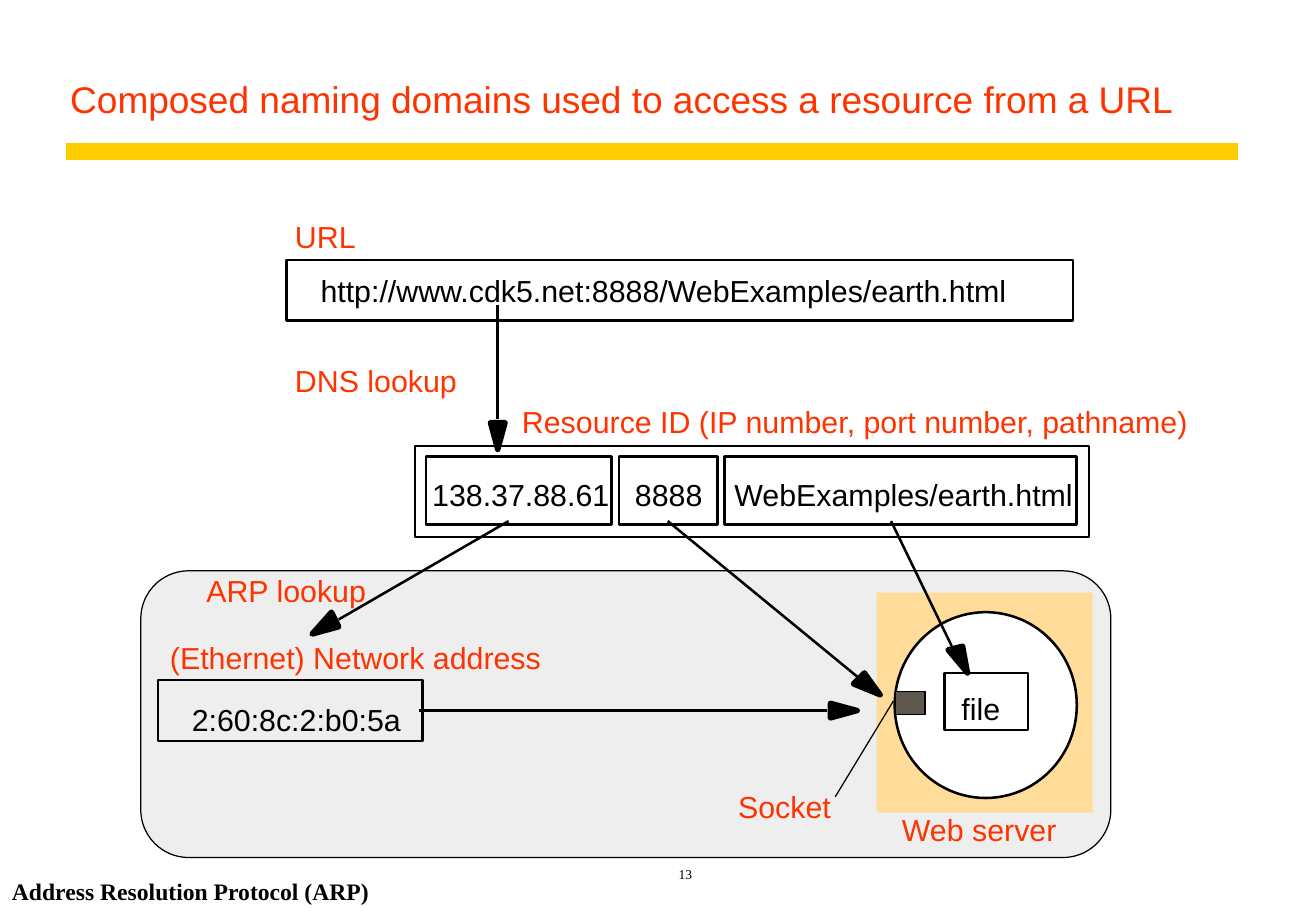
from lxml import etree
from pptx import Presentation
from pptx.dml.color import RGBColor
from pptx.enum import shapes as sh, text as tx
from pptx.oxml import ns
from pptx.util import Inches, Pt

RED = RGBColor(0xFF, 0x33, 0x00)
BLACK = RGBColor(0, 0, 0)
WHITE = RGBColor(0xFF, 0xFF, 0xFF)
GOLD = RGBColor(0xFF, 0xCC, 0x00)
GREY = RGBColor(0xEE, 0xEE, 0xEE)
SAND = RGBColor(0xFF, 0xDC, 0x99)
BROWN = RGBColor(0x5E, 0x57, 0x4E)

KIND = sh.MSO_SHAPE
ANCHOR = tx.MSO_ANCHOR
ALIGN = tx.PP_ALIGN
SLACK = 0.15  # spare label width, so that no label breaks


def style(shape, fill, line, width):
    """Set fill and outline; None leaves either one off."""
    shape.shadow.inherit = False
    for part, color in ((shape.fill, fill), (shape.line.fill, line)):
        if color is None:
            part.background()
        else:
            part.solid()
            part.fore_color.rgb = color
    if line is not None:
        shape.line.width = Pt(width)


def add_box(slide, area, fill=None, line=BLACK, width=1.5, kind=KIND.RECTANGLE):
    box = slide.shapes.add_shape(kind, *map(Inches, area))
    style(box, fill, line, width)
    return box


def add_line(slide, start, end, width=1.5, color=BLACK):
    line = slide.shapes.add_connector(
        sh.MSO_CONNECTOR.STRAIGHT, *map(Inches, start + end))
    line.line.color.rgb = color
    line.line.width = Pt(width)
    etree.SubElement(line._element.spPr, ns.qn("a:effectLst"))


def add_arrow(slide, start, end, head):
    """Draw a shaft and a solid head with rounded corners."""
    add_line(slide, start, end)
    points = [(Inches(x), Inches(y)) for x, y in head]
    path = slide.shapes.build_freeform(*points[0])
    path.add_line_segments(points[1:], close=True)
    tip = path.convert_to_shape()
    style(tip, BLACK, BLACK, 3.25)
    outline = tip._element.spPr.find(ns.qn("a:ln"))
    etree.SubElement(outline, ns.qn("a:round"))


def add_text(slide, words, area, color=BLACK, size=18, font="Arial",
             bold=False, anchor=ANCHOR.TOP, align=ALIGN.LEFT,
             inset=(0, 0)):
    box = slide.shapes.add_textbox(*map(Inches, area))
    frame = box.text_frame
    frame.word_wrap = True
    frame.vertical_anchor = anchor
    frame.margin_left = frame.margin_right = Inches(inset[0])
    frame.margin_top = frame.margin_bottom = Inches(inset[1])
    frame.text = words
    para = frame.paragraphs[0]
    para.alignment = align
    run = para.runs[0]
    run.font.name = font
    run.font.size = Pt(size)
    run.font.bold = bold
    run.font.color.rgb = color
    return para


def add_label(slide, words, left, top, width, color=RED):
    add_text(slide, words, (left, top, width + SLACK, 0.3), color)


def add_frame(slide):
    """Title, rule, page number and footnote."""
    pad = (0.1, 0.05)
    add_line(slide, (0.54, 1.25), (10.2, 1.25), 10, GOLD)
    title = add_text(
        slide, "Composed naming domains used to access a resource from a URL",
        (0.48, 0.25, 9.72, 0.8), RED, 22, anchor=ANCHOR.BOTTOM, inset=pad)
    title.line_spacing = 0.9
    add_text(slide, "13", (2.35, 7, 6.59, 0.31), size=8,
             font="Times New Roman", anchor=ANCHOR.BOTTOM,
             align=ALIGN.CENTER, inset=pad)
    add_text(slide, "Address Resolution Protocol (ARP)", (0, 7.05, 3.5, 0.57),
             size=14, font="Times New Roman", bold=True,
             anchor=ANCHOR.MIDDLE, inset=pad)


def add_server(slide):
    """Network panel with the web server, its socket and its file."""
    panel = add_box(slide, (1.16, 4.7, 7.99, 2.36), GREY, width=0.75,
                    kind=KIND.ROUNDED_RECTANGLE)
    panel.adjustments[0] = 0.167
    add_box(slide, (7.22, 4.88, 1.78, 1.81), SAND, line=None)
    add_box(slide, (7.37, 5.04, 1.5, 1.53), WHITE, kind=KIND.OVAL)
    add_label(slide, "file", 7.92, 5.68, 0.32, BLACK)
    add_label(slide, "Web server", 7.43, 6.68, 1.28)
    add_box(slide, (7.78, 5.54, 0.69, 0.47))
    add_line(slide, (7.36, 5.77), (6.88, 6.56), 0.75)
    add_label(slide, "Socket", 6.08, 6.49, 0.76)
    add_box(slide, (7.38, 5.69, 0.24, 0.19), BROWN, width=0.75)


def add_names(slide):
    """URL, resource ID and network address boxes."""
    add_label(slide, "URL", 2.43, 1.8, 0.5)
    add_box(slide, (2.36, 2.14, 6.48, 0.5))
    add_label(slide, "http://www.cdk5.net:8888/WebExamples/earth.html",
              2.64, 2.24, 5.67, BLACK)

    add_label(slide, "Resource ID (IP number, port number, pathname)",
              4.3, 3.32, 5.52)
    add_box(slide, (3.42, 3.67, 5.55, 0.75), WHITE)
    fields = (
        ("138.37.88.61", 3.51, 1.53, 3.56, 1.46),
        ("8888", 5.1, 0.81, 5.23, 0.56),
        ("WebExamples/earth.html", 5.97, 2.9, 6.05, 2.79),
    )
    for words, left, width, inner, span in fields:
        add_box(slide, (left, 3.76, width, 0.56))
        add_label(slide, words, inner, 3.92, span, BLACK)

    add_label(slide, "(Ethernet) Network address", 1.4, 5.26, 3.06)
    add_box(slide, (1.3, 5.6, 2.18, 0.5))
    add_label(slide, "2:60:8c:2:b0:5a", 1.58, 5.77, 1.72, BLACK)


def add_lookups(slide):
    """Arrows from each name to what it resolves to."""
    add_label(slide, "DNS lookup", 2.43, 2.98, 1.33)
    add_label(slide, "ARP lookup", 1.7, 4.71, 1.32)
    arrows = (
        ((4.1, 2.51), (4.1, 3.45), ((4.04, 3.48), (4.16, 3.48), (4.1, 3.7))),
        ((4.19, 4.29), (2.79, 5.1), ((2.73, 5.04), (2.79, 5.16), (2.57, 5.22))),
        ((5.5, 4.29), (7.06, 5.57), ((7.03, 5.63), (7.12, 5.54), (7.25, 5.72))),
        ((7.34, 4.29), (7.84, 5.32), ((7.81, 5.35), (7.93, 5.32), (7.97, 5.54))),
        ((3.45, 5.85), (6.81, 5.85), ((6.84, 5.79), (6.84, 5.91), (7.06, 5.85))),
    )
    for start, end, head in arrows:
        add_arrow(slide, start, end, head)


def main():
    deck = Presentation()
    deck.slide_width = Inches(10.84)
    deck.slide_height = Inches(7.5)
    slide = deck.slides.add_slide(deck.slide_layouts[6])
    add_frame(slide)
    add_server(slide)
    add_names(slide)
    add_lookups(slide)
    deck.save("out.pptx")


if __name__ == "__main__":
    main()
